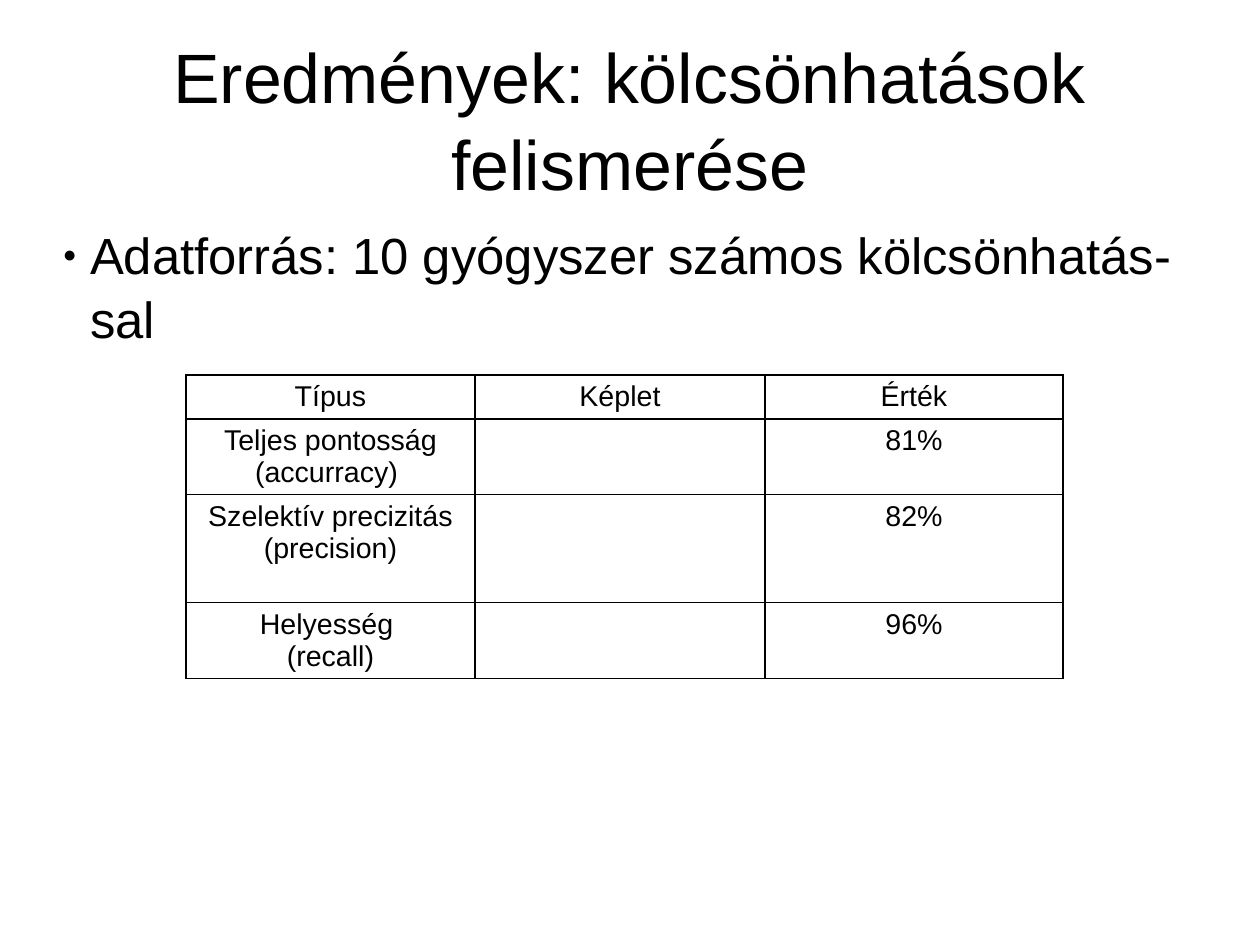
from lxml import etree
from pptx import Presentation
from pptx import util as u
from pptx.dml.color import RGBColor
from pptx.enum import text
from pptx.oxml.ns import qn

PX = 8000  # EMU in one px
FONT = "Arial"
COLORS = {"text": "000000", "border": "000000", "background": "FFFFFF"}

COLUMNS = [289, 290, 298]
ROWS = [44, 75, 108, 76]
RESULTS = [
    ["Típus", "Képlet", "Érték"],
    ["Teljes pontosság\n(accurracy) ", "", "81%"],
    ["Szelektív precizitás\n(precision)", "", "82%"],
    ["Helyesség \n(recall)", "", "96%"],
]


def px(n):
    return u.Emu(n * PX)


def write(tf, content, size, align, spacing=1.0):
    tf.text = content
    for p in tf.paragraphs:
        p.alignment = align
        p.line_spacing = spacing
        p.space_before = u.Pt(0)
        for r in p.runs:
            r.font.size = u.Pt(size)
            r.font.name = FONT
            r.font.color.rgb = RGBColor.from_string(COLORS["text"])


def fill_placeholder(sp, box, content, size, align, anchor):
    sp.left, sp.top, sp.width, sp.height = map(px, box)
    tf = sp.text_frame
    tf.margin_left = tf.margin_right = tf.margin_top = tf.margin_bottom = 0
    tf.word_wrap = True
    tf.auto_size = text.MSO_AUTO_SIZE.NONE
    tf.vertical_anchor = anchor
    write(tf, content, size, align, spacing=1.05)
    return tf


def add_bullet(p, indent, char, percent):
    pPr = p._p.get_or_add_pPr()
    pPr.set("marL", str(px(indent)))
    pPr.set("indent", str(-px(indent)))
    etree.SubElement(pPr, qn("a:buSzPct"), val=str(percent * 1000))
    etree.SubElement(pPr, qn("a:buFont"), typeface=FONT)
    etree.SubElement(pPr, qn("a:buChar"), char=char)


def add_borders(cell, points):
    tcPr = cell._tc.get_or_add_tcPr()
    for side in ("a:lnL", "a:lnR", "a:lnT", "a:lnB"):
        ln = etree.SubElement(tcPr, qn(side), w=str(u.Pt(points)))
        fill = etree.SubElement(ln, qn("a:solidFill"))
        etree.SubElement(fill, qn("a:srgbClr"), val=COLORS["border"])


def add_results_table(slide, left, top):
    frame = slide.shapes.add_table(len(ROWS), len(COLUMNS), px(left), px(top),
                                   px(sum(COLUMNS)), px(sum(ROWS)))
    table = frame.table
    table.first_row = table.horz_banding = False
    for column, width in zip(table.columns, COLUMNS):
        column.width = px(width)
    for row, height, values in zip(table.rows, ROWS, RESULTS):
        row.height = px(height)
        for cell, value in zip(row.cells, values):
            add_borders(cell, 1)
            cell.fill.background()
            write(cell.text_frame, value, 18, text.PP_ALIGN.CENTER)


def main():
    prs = Presentation()
    prs.slide_width, prs.slide_height = px(1260), px(945)
    slide = prs.slides.add_slide(prs.slide_layouts[1])
    background = slide.background.fill
    background.solid()
    background.fore_color.rgb = RGBColor.from_string(COLORS["background"])

    # Title
    fill_placeholder(slide.shapes.title, (63, 38, 1134, 158),
                     "Eredmények: kölcsönhatások felismerése", 44,
                     text.PP_ALIGN.CENTER, text.MSO_ANCHOR.MIDDLE)

    # Data source
    tf = fill_placeholder(slide.placeholders[1], (63, 221, 1134, 547),
                          "Adatforrás: 10 gyógyszer számos kölcsönhatás- sal", 32,
                          text.PP_ALIGN.LEFT, text.MSO_ANCHOR.TOP)
    add_bullet(tf.paragraphs[0], 27, "●", 45)

    # Results
    add_results_table(slide, 186, 375)

    prs.save("out.pptx")


if __name__ == "__main__":
    main()
